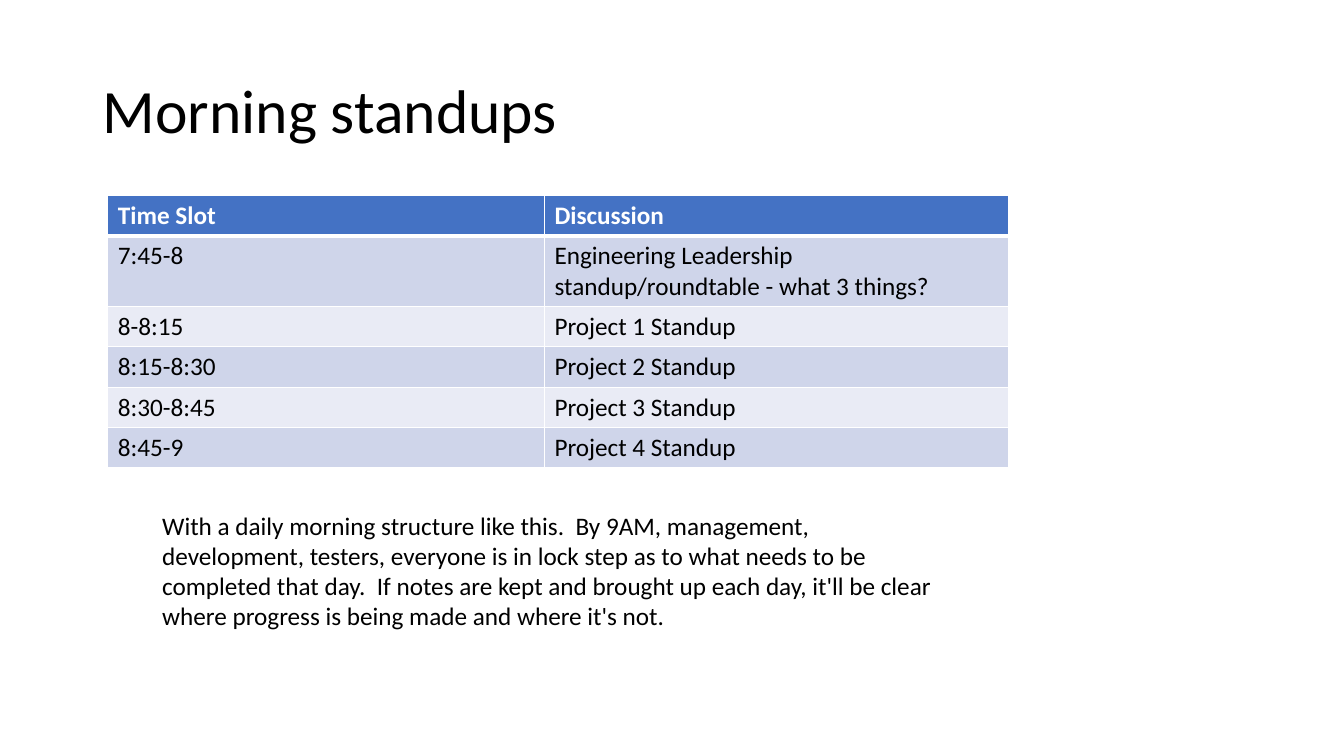
from lxml.etree import SubElement
from pptx import Presentation
from pptx.dml.color import RGBColor
from pptx.enum.text import MSO_ANCHOR
from pptx.oxml.ns import qn
from pptx.util import Inches, Pt

FONT = "Calibri"
BLACK, WHITE, BLUE = "000000", "FFFFFF", "4472C4"
BANDS = ["CFD5EA", "E9EBF5"]
COLUMN_WIDTHS = [4.33, 4.6]
ROW_HEIGHT = 0.4
SCHEDULE = [
    ("Time Slot", "Discussion"),
    ("7:45-8", "Engineering Leadership standup/roundtable - what 3 things?"),
    ("8-8:15", "Project 1 Standup"),
    ("8:15-8:30", "Project 2 Standup"),
    ("8:30-8:45", "Project 3 Standup"),
    ("8:45-9", "Project 4 Standup"),
]
SUMMARY = (
    "With a daily morning structure like this.  By 9AM, management, "
    "development, testers, everyone is in lock step as to what needs to be "
    "completed that day.  If notes are kept and brought up each day, it'll be "
    "clear where progress is being made and where it's not."
)


def color(value):
    return RGBColor.from_string(value)


def write(frame, text, size=18, fill=BLACK, bold=False, spacing=1.0):
    para = frame.paragraphs[0]
    para.line_spacing = spacing
    span = para.add_run()
    span.text = text
    span.font.name = FONT
    span.font.size = Pt(size)
    span.font.bold = bold
    span.font.color.rgb = color(fill)


def add_text(page, text, left, top, width, height, anchor=MSO_ANCHOR.TOP, **style):
    box = page.shapes.add_textbox(*map(Inches, (left, top, width, height)))
    frame = box.text_frame
    frame.word_wrap = True
    frame.vertical_anchor = anchor
    write(frame, text, **style)


def set_borders(cell, **widths):
    """Draw white cell borders; widths are points by side letter L, R, T, B."""
    properties = cell._tc.get_or_add_tcPr()
    for side, width in widths.items():
        line = SubElement(properties, qn(f"a:ln{side}"), w=str(Pt(width)))
        solid = SubElement(line, qn("a:solidFill"))
        SubElement(solid, qn("a:srgbClr"), val=WHITE)


def add_schedule(page, left, top):
    width, height = sum(COLUMN_WIDTHS), ROW_HEIGHT * len(SCHEDULE)
    table = page.shapes.add_table(
        len(SCHEDULE), len(COLUMN_WIDTHS), *map(Inches, (left, top, width, height))
    ).table
    for column, column_width in zip(table.columns, COLUMN_WIDTHS):
        column.width = Inches(column_width)
    for row, texts in enumerate(SCHEDULE):
        header = row == 0
        for column, text in enumerate(texts):
            cell = table.cell(row, column)
            set_borders(cell, L=1, R=1, T=3 if row == 1 else 1, B=3 if header else 1)
            cell.fill.solid()
            cell.fill.fore_color.rgb = color(BLUE if header else BANDS[(row - 1) % 2])
            write(cell.text_frame, text, fill=WHITE if header else BLACK, bold=header)


def main():
    deck = Presentation()
    deck.slide_width, deck.slide_height = Inches(13.33), Inches(7.5)
    page = deck.slides.add_slide(deck.slide_layouts[6])
    add_text(page, "Morning standups", 0.92, 0.4, 11.5, 1.45,
             anchor=MSO_ANCHOR.MIDDLE, size=44, spacing=0.9)
    add_schedule(page, 1.07, 1.94)
    add_text(page, SUMMARY, 1.51, 5.01, 8.05, 1.31)
    deck.save("out.pptx")


if __name__ == "__main__":
    main()
